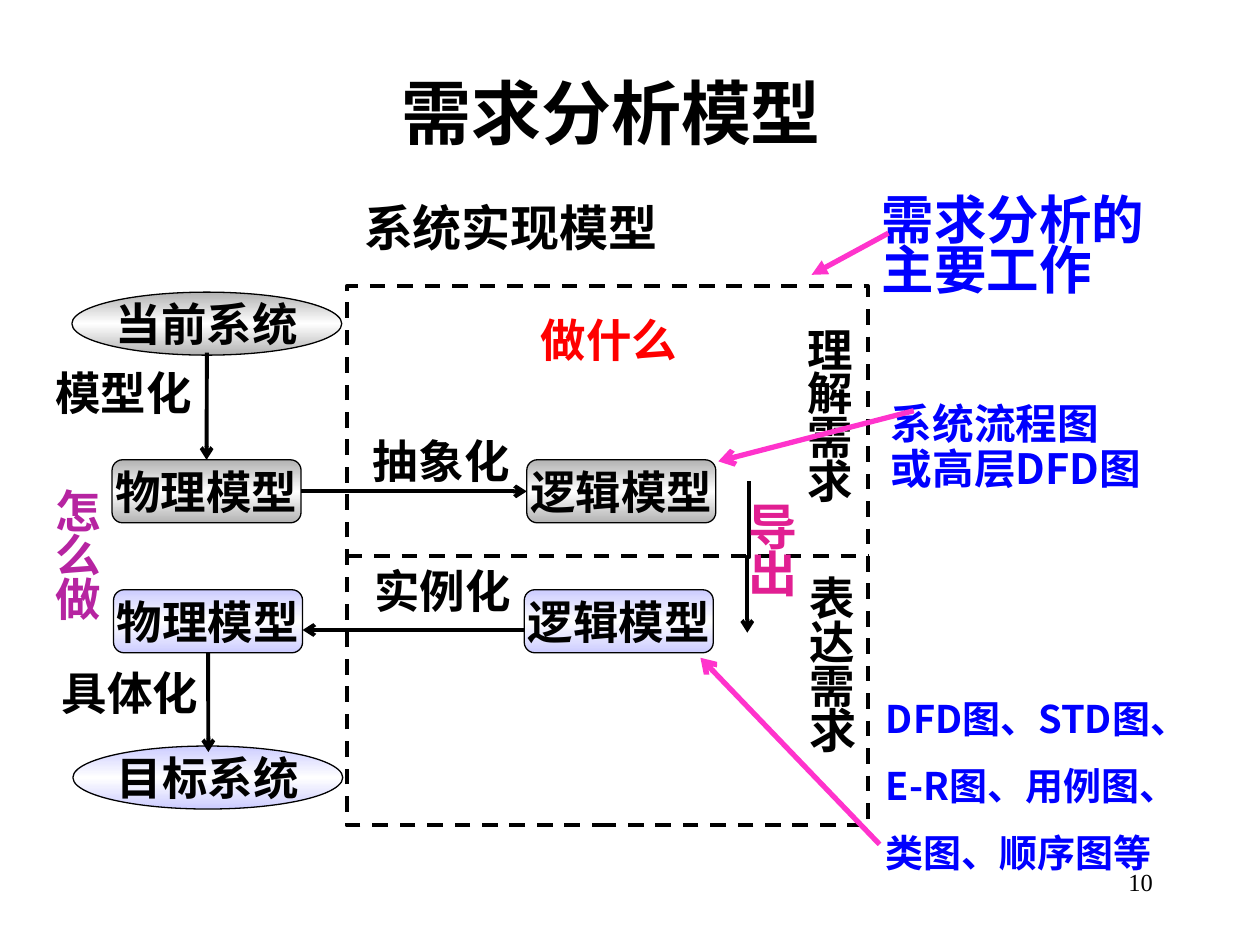
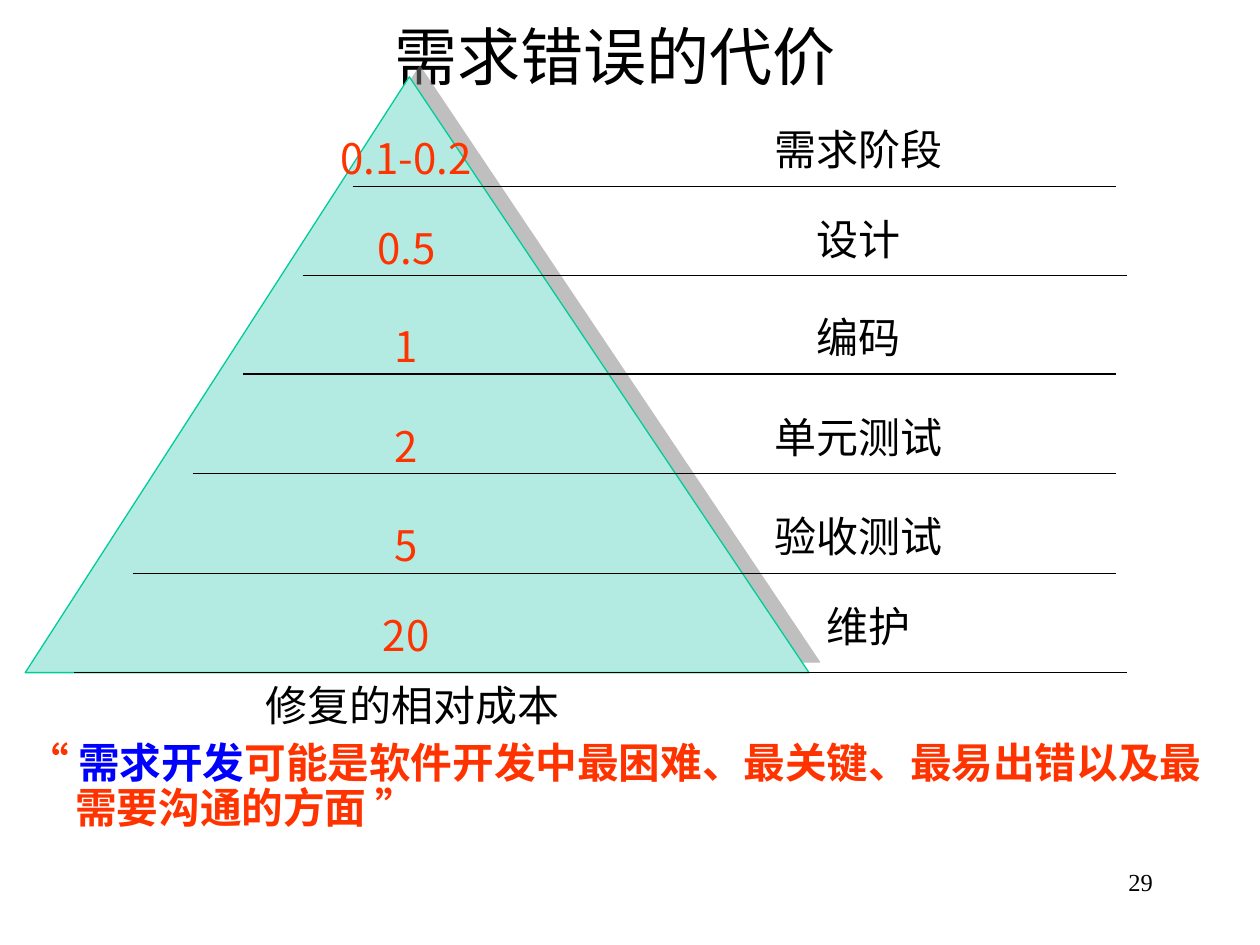
from copy import deepcopy
from dataclasses import dataclass
from typing import Optional

from lxml.etree import SubElement
from pptx import Presentation
from pptx.dml.color import RGBColor
from pptx.enum.dml import MSO_LINE
from pptx.enum.shapes import MSO_CONNECTOR, MSO_SHAPE
from pptx.enum.text import MSO_ANCHOR, PP_ALIGN
from pptx.oxml.ns import qn
from pptx.util import Cm, Pt

# Shared look
BLACK = RGBColor(0x00, 0x00, 0x00)
WHITE = RGBColor(0xFF, 0xFF, 0xFF)
BLUE = RGBColor(0x00, 0x00, 0xFF)
RED = RGBColor(0xFF, 0x00, 0x00)
ORANGE = RGBColor(0xFF, 0x33, 0x00)
ROSE = RGBColor(0xE1, 0x1F, 0x92)
PURPLE = RGBColor(0xB6, 0x24, 0xA1)
PINK = RGBColor(0xFF, 0x33, 0xCC)
GRAY = RGBColor(0xB2, 0xB2, 0xB2)
LAVENDER = RGBColor(0xCC, 0xCC, 0xFF)
MINT = RGBColor(0xB3, 0xEB, 0xE2)
GREEN = RGBColor(0x00, 0xCC, 0x99)
CJK_FONT = "Noto Sans CJK SC"
NUMBER_FONT = "Times New Roman"
NARROW_INSET = (0.23, 0.1, 0.23, 0.1)
WIDE_INSET = (0.25, 0.13, 0.25, 0.13)


@dataclass
class Label:
    text: str
    left: float
    top: float
    width: float
    height: float
    size: float = 26
    color: RGBColor = BLACK
    bold: bool = True
    align: PP_ALIGN = PP_ALIGN.LEFT
    anchor: MSO_ANCHOR = MSO_ANCHOR.TOP
    spacing: Optional[float] = None
    wrap: bool = False
    font: str = CJK_FONT
    inset: tuple = NARROW_INSET


@dataclass
class Node:
    text: str
    kind: MSO_SHAPE
    left: float
    top: float
    width: float
    tint: RGBColor


@dataclass
class CostRow:
    cost: str
    stage: str
    line_top: float
    line_left: float
    line_right: float = 22.5
    lift: float = 0
    shift: float = 0


# Text helpers
def write(frame, label: Label) -> None:
    frame.word_wrap = label.wrap
    frame.vertical_anchor = label.anchor
    frame.margin_left, frame.margin_top, frame.margin_right, frame.margin_bottom = map(Cm, label.inset)
    frame.text = label.text
    for para in frame.paragraphs:
        para.alignment = label.align
        if label.spacing:
            para.line_spacing = label.spacing
        for span in para.runs:
            format_span(span, label)


def format_span(span, label: Label) -> None:
    font = span.font
    font.size = Pt(label.size)
    font.bold = label.bold
    font.color.rgb = label.color
    font.name = label.font
    SubElement(span._r.get_or_add_rPr(), qn("a:ea")).set("typeface", label.font)


def add_label(page, label: Label):
    box = page.shapes.add_textbox(Cm(label.left), Cm(label.top), Cm(label.width), Cm(label.height))
    write(box.text_frame, label)
    return box


def add_page_number(page, number: int) -> None:
    add_label(page, Label(str(number), 18.21, 17.35, 5.28, 1.27, 14, bold=False, wrap=True,
                          align=PP_ALIGN.RIGHT, font=NUMBER_FONT, inset=WIDE_INSET))


# Shape helpers
def add_node(page, node: Node):
    shape = page.shapes.add_shape(node.kind, Cm(node.left), Cm(node.top), Cm(node.width), Cm(1.27))
    shape.shadow.inherit = False
    shape.fill.gradient()
    shape.fill.gradient_angle = 90
    first, last = shape.fill.gradient_stops
    first.color.rgb = last.color.rgb = node.tint
    stops = shape._element.spPr.find(".//" + qn("a:gsLst"))
    stops.insert(1, deepcopy(stops[0]))
    middle = shape.fill.gradient_stops[1]
    middle.position = 0.5
    middle.color.rgb = WHITE
    shape.line.color.rgb = BLACK
    shape.line.width = Pt(0.75)
    write(shape.text_frame, Label(node.text, 0, 0, 0, 0, align=PP_ALIGN.CENTER,
                                  anchor=MSO_ANCHOR.MIDDLE))
    return shape


def add_line(page, start: tuple, end: tuple, color: RGBColor = BLACK, width: float = 2.25,
             head: Optional[str] = None, kind: MSO_CONNECTOR = MSO_CONNECTOR.STRAIGHT):
    line = page.shapes.add_connector(kind, *map(Cm, start + end))
    line.line.color.rgb = color
    line.line.width = Pt(width)
    if head:
        SubElement(line.line._get_or_add_ln(), qn("a:tailEnd")).set("type", head)
    SubElement(line._element.spPr, qn("a:effectLst"))
    return line


# Slide: requirements analysis model
def build_model_page(page) -> None:
    add_page_number(page, 10)
    add_label(page, Label("需求分析模型", 0.89, 0.94, 22.86, 2.16, 40, wrap=True, align=PP_ALIGN.CENTER,
                          anchor=MSO_ANCHOR.BOTTOM, inset=(0, 0.13, 0, 0)))

    # Systems and models
    oval, rounded = MSO_SHAPE.OVAL, MSO_SHAPE.ROUNDED_RECTANGLE
    add_node(page, Node("目标系统", oval, 1.47, 15.04, 5.44, LAVENDER))
    add_node(page, Node("当前系统", oval, 1.45, 5.89, 5.44, GRAY))
    old_physical = add_node(page, Node("物理模型", rounded, 2.26, 9.27, 3.81, GRAY))
    old_logical = add_node(page, Node("逻辑模型", rounded, 10.62, 9.27, 3.81, GRAY))
    add_node(page, Node("逻辑模型", rounded, 10.57, 11.89, 3.81, LAVENDER))
    new_physical = add_node(page, Node("物理模型", rounded, 2.29, 11.89, 3.81, LAVENDER))

    # Steps between the models
    modelling = add_line(page, (4.17, 7.11), (4.17, 9.27), head="arrow")
    modelling.end_connect(old_physical, 0)
    abstraction = add_line(page, (6.07, 9.91), (10.62, 9.91), head="arrow")
    abstraction.begin_connect(old_physical, 3)
    abstraction.end_connect(old_logical, 1)
    add_line(page, (10.57, 12.7), (6.1, 12.7), head="arrow")
    realising = add_line(page, (4.2, 13.16), (4.2, 15.16), head="arrow")
    realising.begin_connect(new_physical, 2)
    derivation = add_line(page, (13.56, 11.21), (16.61, 11.25), head="arrow", kind=MSO_CONNECTOR.ELBOW)
    derivation._element.spPr.find(qn("a:xfrm")).set("rot", "5400000")

    # Dashed frame around the analysis work
    frame = page.shapes.add_shape(MSO_SHAPE.RECTANGLE, Cm(6.99), Cm(5.77), Cm(10.51), Cm(10.87))
    frame.shadow.inherit = False
    frame.fill.background()
    frame.line.color.rgb = BLACK
    frame.line.width = Pt(2.25)
    divider = add_line(page, (6.99, 11.2), (17.5, 11.2))
    for outline in (frame, divider):
        outline.line.dash_style = MSO_LINE.DASH

    # Labels, wide enough for one line each
    for text, left, top in (("模型化", 0.89, 7.26), ("抽象化", 7.29, 8.64),
                            ("实例化", 7.32, 11.25), ("具体化", 1.02, 13.31)):
        add_label(page, Label(text, left, top, 3.5, 1.32))
    add_label(page, Label("系统实现模型", 7.11, 3.48, 9.8, 2.21, 28, wrap=True, anchor=MSO_ANCHOR.MIDDLE))
    add_label(page, Label("做什么", 10.67, 6.2, 4.01, 1.32, color=RED, wrap=True))

    # Stacked labels, one character a line
    stacked = (Label("理解需求", 16.05, 6.6, 1.35, 3.73),
               Label("导出", 14.86, 10.13, 1.42, 2.11, 28, ROSE),
               Label("怎么做", 0.89, 9.86, 1.35, 2.87, color=PURPLE),
               Label("表达需求", 16.08, 11.61, 1.4, 3.78))
    for label in stacked:
        label.text = "\n".join(label.text)
        label.spacing = 0.8
        box = add_label(page, label)
    box.text_frame.paragraphs[-1].runs[0].font.size = Pt(27)

    # Blue remarks with pink pointers
    for remark in (
            Label("需求分析的\v主要工作", 17.55, 3.76, 6.35, 2.54, 30, spacing=0.8),
            Label("系统流程图\v或高层DFD图", 17.73, 7.59, 6.17, 2.92, 23.8, spacing=0.9),
            Label("DFD图、STD图、\vE-R图、用例图、\v类图、顺序图等", 17.63, 13.72, 6.1, 4.39, 21.7,
                  spacing=0.8)):
        remark.color = BLUE
        remark.wrap = True
        remark.anchor = MSO_ANCHOR.MIDDLE
        add_label(page, remark)
    for start, end, head in (((17.91, 4.7), (16.36, 5.54), "triangle"),
                             ((18.42, 8.28), (14.48, 9.3), "arrow"),
                             ((17.73, 17.02), (14.12, 13.26), "arrow")):
        add_line(page, start, end, PINK, 3, head)


# Slide: cost of requirement errors
COST_ROWS = (
    CostRow("0.1-0.2", "需求阶段", 3.76, 7.11),
    CostRow("0.5", "设计", 5.56, 6.1, line_right=22.71),
    CostRow("1", "编码", 7.54, 4.9),
    CostRow("2", "单元测试", 9.55, 3.89),
    CostRow("5", "验收测试", 11.56, 2.69),
    CostRow("20", "维护", 13.56, 1.5, line_right=22.71, lift=0.2, shift=0.2),
)


def add_pyramid(page) -> None:
    pyramid = page.shapes.add_shape(MSO_SHAPE.ISOSCELES_TRIANGLE, Cm(0.51), Cm(1.55), Cm(15.8), Cm(12.01))
    pyramid.adjustments[0] = 0.49
    pyramid.fill.solid()
    pyramid.fill.fore_color.rgb = MINT
    pyramid.line.color.rgb = GREEN
    pyramid.line.width = Pt(0.75)
    pyramid.shadow.inherit = False
    effects = pyramid._element.spPr.find(qn("a:effectLst"))
    shadow = SubElement(effects, qn("a:outerShdw"), blurRad="0", dist=str(Pt(8.5)), dir="18900000",
                        algn="ctr", rotWithShape="0")
    shade = SubElement(shadow, qn("a:srgbClr"), val="808080")
    SubElement(shade, qn("a:alpha"), val="50000")


def add_centred(page, text: str, left: float, top: float, width: float, size: float = 24,
                color: RGBColor = BLACK) -> None:
    add_label(page, Label(text, left, top, width, 1.27, size, color, bold=False, wrap=True,
                          align=PP_ALIGN.CENTER, inset=WIDE_INSET))


def build_cost_page(page) -> None:
    add_page_number(page, 29)
    add_centred(page, "需求错误的代价", 4.9, 0.23, 15.01, size=36)
    add_pyramid(page)
    add_centred(page, "修复的相对成本", 3.51, 13.56, 9.6)

    # One line, stage and cost a row
    for row in COST_ROWS:
        add_line(page, (row.line_left, row.line_top), (row.line_right, row.line_top), width=0.75)
        add_centred(page, row.stage, 12.5 + row.shift, row.line_top - 1.39 - row.lift, 9.6)
        add_centred(page, row.cost, 6.3, row.line_top - 1.21 - row.lift, 3.78, color=ORANGE)

    # Closing quotation
    quote = Label("“ ", 0.3, 14.83, 24.21, 2.39, 23.8, ORANGE, spacing=0.9, wrap=True, inset=WIDE_INSET)
    para = add_label(page, quote).text_frame.paragraphs[0]
    properties = para._p.get_or_add_pPr()
    properties.set("marL", str(Cm(0.97)))
    properties.set("indent", str(-Cm(0.97)))
    for text, color in (("需求开发", BLUE),
                        ("可能是软件开发中最困难、最关键、最易出错以及最需要沟通的方面 ”", ORANGE)):
        span = para.add_run()
        span.text = text
        quote.color = color
        format_span(span, quote)


def main() -> None:
    deck = Presentation()
    deck.slide_width, deck.slide_height = Cm(25.4), Cm(19.05)
    for build in (build_model_page, build_cost_page):
        build(deck.slides.add_slide(deck.slide_layouts[6]))
    deck.save("out.pptx")


if __name__ == "__main__":
    main()
